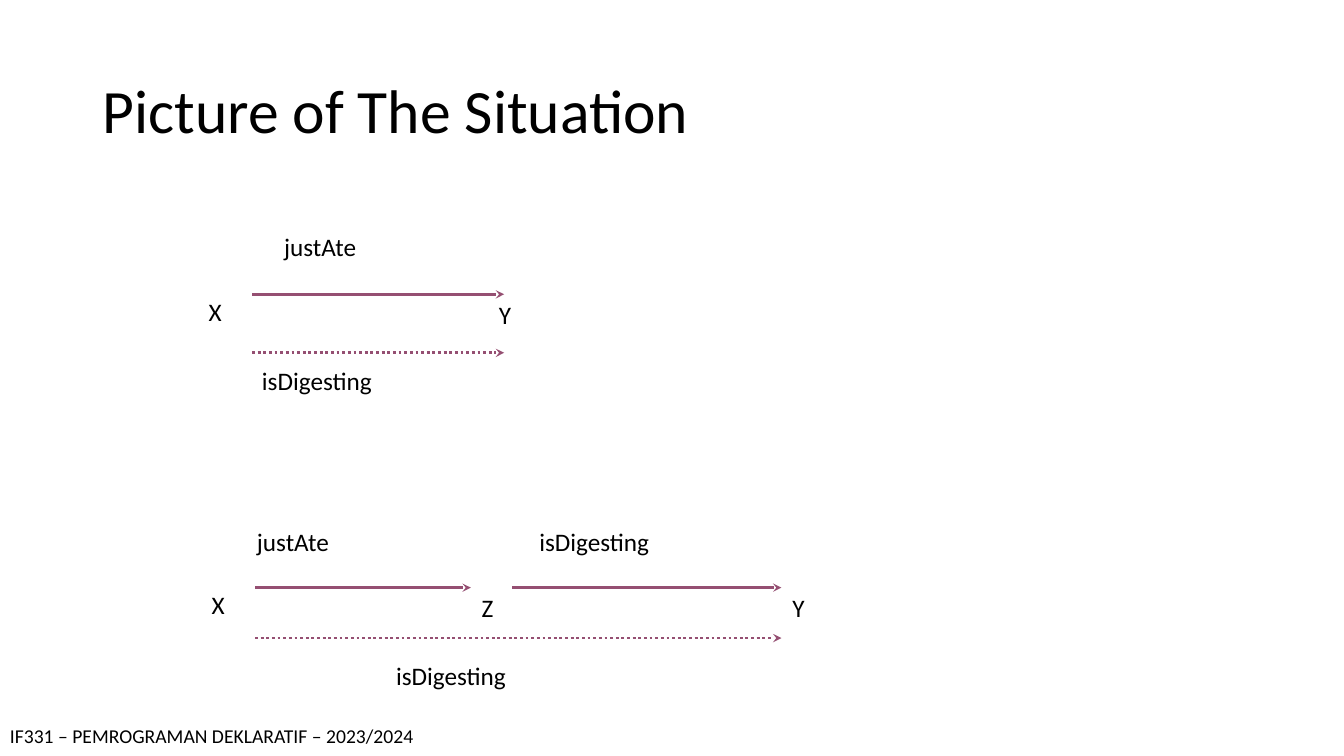
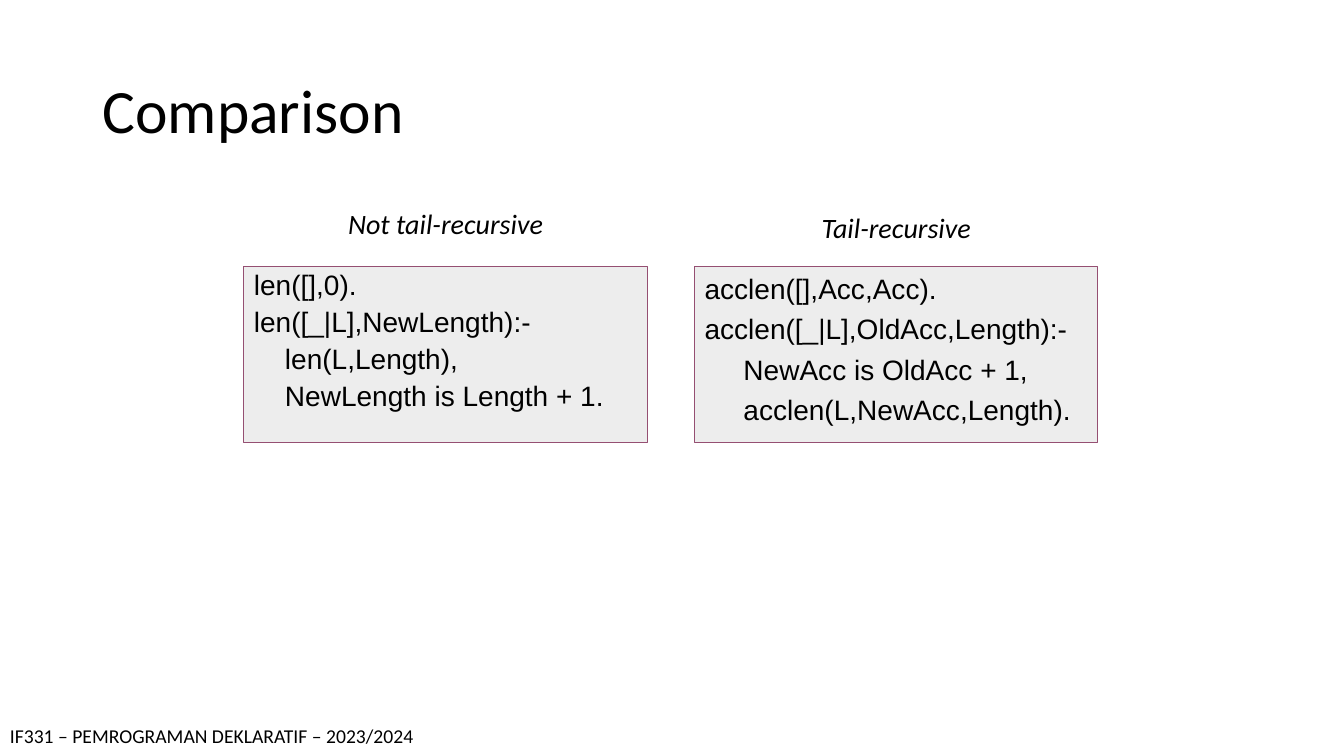
from lxml import etree
from pptx import Presentation
from pptx.dml.color import RGBColor
from pptx.enum.dml import MSO_LINE
from pptx.enum.shapes import MSO_CONNECTOR, MSO_SHAPE
from pptx.enum.text import MSO_ANCHOR as ANCHOR, PP_ALIGN as ALIGN
from pptx.oxml.ns import qn
from pptx.util import Pt

# One px is a hundredth of an inch
PX = 9144
SLIDE_W, SLIDE_H = 1333, 750

# Shared look
BLACK, PLUM, GREY = "000000", "954F72", "DDDDDD"
FOOTER = "IF331 – PEMROGRAMAN DEKLARATIF – 2023/2024"
TITLE_FONT = {"name": "Calibri", "size": Pt(44)}
FOOTER_FONT = {"name": "Calibri", "size": Pt(14)}
LABEL_FONT = {"name": "Calibri", "size": Pt(18)}
HEADING_FONT = {"name": "Calibri", "size": Pt(20), "italic": True}
CODE_FONT = {"name": "Arial", "size": Pt(20)}

# Code panels
PANEL_Y, PANEL_W, PANEL_H = 264, 400, 175


def px(*lengths):
    return [n * PX for n in lengths]


def rgb(value):
    return RGBColor.from_string(value)


def write(sp, lines, font, para=None, anchor=ANCHOR.TOP, gap=0):
    """Fill a shape with one paragraph for each line."""
    tf = sp.text_frame
    tf.word_wrap = True
    tf.vertical_anchor = anchor
    for i, line in enumerate(lines):
        p = tf.add_paragraph() if i else tf.paragraphs[0]
        layout = {"alignment": ALIGN.LEFT, "space_before": Pt(gap if i else 0)}
        for key, value in {**layout, **(para or {})}.items():
            setattr(p, key, value)
        r = p.add_run()
        r.text = line
        for key, value in font.items():
            setattr(r.font, key, value)
        r.font.color.rgb = rgb(BLACK)


def add_text(s, text, box, font, **layout):
    write(s.shapes.add_textbox(*px(*box)), [text], font, **layout)


def add_arrow(s, x1, x2, y, dotted=False):
    """Draw a horizontal arrow pointing right."""
    c = s.shapes.add_connector(MSO_CONNECTOR.STRAIGHT, *px(x1, y, x2, y))
    c.line.color.rgb = rgb(PLUM)
    c.line.width = Pt(2)
    if dotted:
        c.line.dash_style = MSO_LINE.ROUND_DOT
    sp_pr = c.element.spPr
    etree.SubElement(sp_pr.find(qn("a:ln")), qn("a:tailEnd"), type="stealth")
    etree.SubElement(sp_pr, qn("a:effectLst"))


def add_code(s, x, lines, spacing):
    """Draw a half-transparent panel holding code."""
    sp = s.shapes.add_shape(MSO_SHAPE.RECTANGLE, *px(x, PANEL_Y, PANEL_W, PANEL_H))
    sp.shadow.inherit = False
    sp.fill.solid()
    sp.fill.fore_color.rgb = rgb(GREY)
    color = sp.element.spPr.find(qn("a:solidFill"))[0]
    etree.SubElement(color, qn("a:alpha"), val="50000")
    sp.line.color.rgb = rgb(PLUM)
    sp.line.width = Pt(0.75)
    write(sp, lines, CODE_FONT, {"line_spacing": spacing}, gap=5)


def add_slide(prs, title):
    """Add a slide with the shared title and footer."""
    s = prs.slides.add_slide(prs.slide_layouts[6])
    add_text(s, title, (92, 40, 1150, 145), TITLE_FONT,
             para={"line_spacing": 0.9}, anchor=ANCHOR.MIDDLE)
    add_text(s, FOOTER, (0, 713, SLIDE_W, 34), FOOTER_FONT)
    return s


def situation_slide(prs):
    s = add_slide(prs, "Picture of The Situation")
    # Arrows: the facts are solid, the conclusions dotted
    for arrow in [(250, 500, 292), (250, 500, 350, True),
                  (253, 467, 583), (508, 775, 583), (253, 775, 633, True)]:
        add_arrow(s, *arrow)
    # Nodes
    for name, x, y in [("X", 197, 289), ("Y", 485, 292),
                       ("X", 200, 580), ("Z", 468, 583), ("Y", 776, 583)]:
        add_text(s, name, (x, y, 40, 50), LABEL_FONT)
    # Relations
    for name, x, y in [("justAte", 272, 225), ("isDigesting", 250, 358),
                       ("justAte", 245, 517), ("isDigesting", 525, 517),
                       ("isDigesting", 383, 650)]:
        add_text(s, name, (x, y, 242, 50), LABEL_FONT)


def comparison_slide(prs):
    s = add_slide(prs, "Comparison")
    panels = [
        ("Not tail-recursive", 242, 200, 0.9,
         ["len([],0).",
          "len([_|L],NewLength):-",
          "    len(L,Length),",
          "    NewLength is Length + 1."]),
        ("Tail-recursive", 689, 204, 1.0,
         ["acclen([],Acc,Acc).",
          "acclen([_|L],OldAcc,Length):-",
          "     NewAcc is OldAcc + 1,",
          "     acclen(L,NewAcc,Length)."]),
    ]
    for heading, x, y, spacing, lines in panels:
        add_text(s, heading, (x, y, PANEL_W, 43), HEADING_FONT,
                 para={"alignment": ALIGN.CENTER})
        add_code(s, x, lines, spacing)


def main():
    prs = Presentation()
    prs.slide_width, prs.slide_height = px(SLIDE_W, SLIDE_H)
    situation_slide(prs)
    comparison_slide(prs)
    prs.save("out.pptx")


if __name__ == "__main__":
    main()
